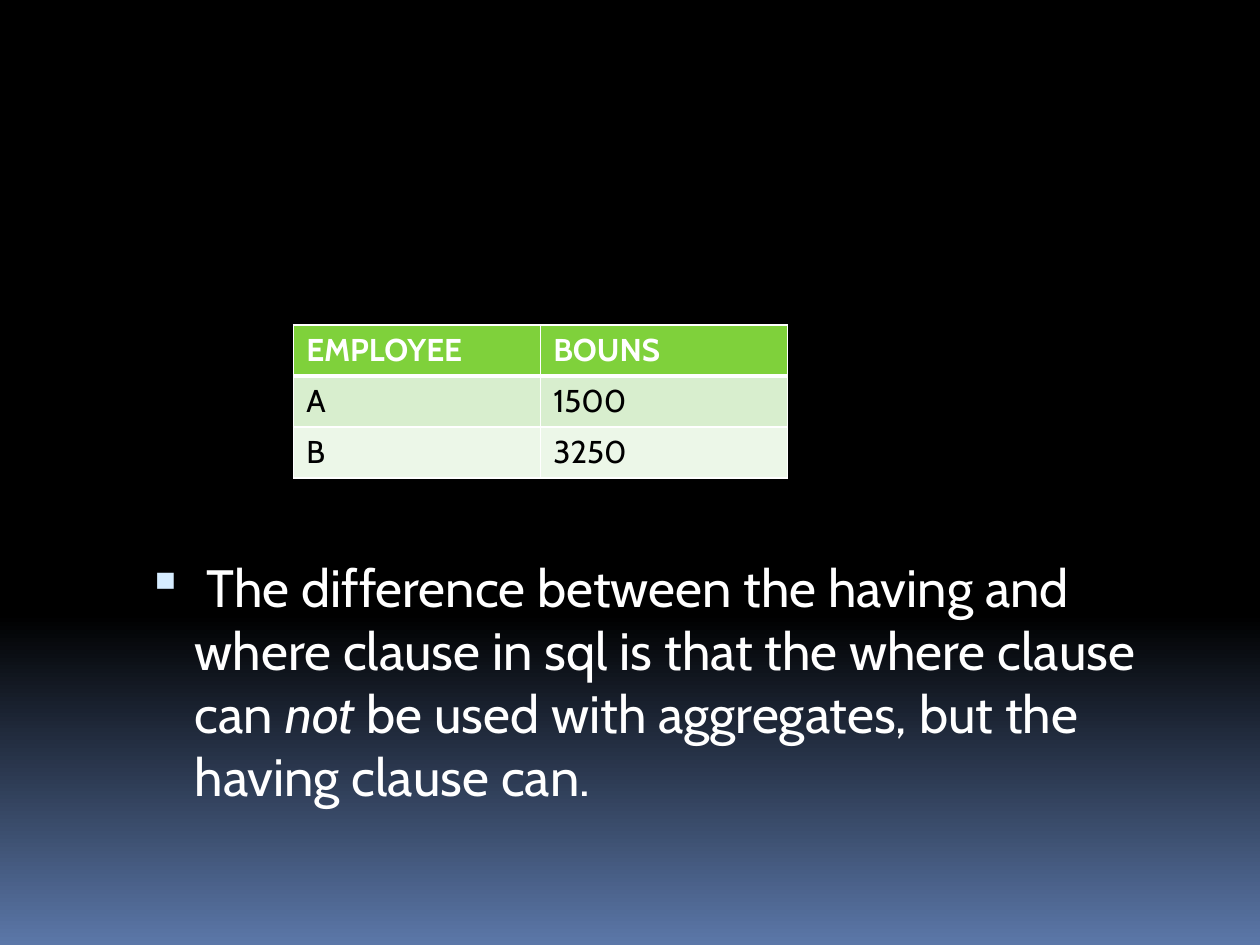
from dataclasses import dataclass

from lxml import etree
from pptx import Presentation
from pptx.dml.color import RGBColor
from pptx.oxml import ns
from pptx.util import Cm, Pt


@dataclass(frozen=True)
class Theme:
    font: str = "Cabin"
    body_size: int = 30
    table_size: int = 18
    white: str = "FFFFFF"
    black: str = "000000"
    blue: str = "5B77A8"
    bullet: str = "D6ECFF"
    row_fills: tuple = ("7FD13B", "D8EECE", "ECF7E8")


theme = Theme()


def add_run(paragraph, content, color, **formats):
    run = paragraph.add_run()
    run.text = content
    run.font.color.rgb = RGBColor.from_string(color)
    for name, value in {"name": theme.font, **formats}.items():
        setattr(run.font, name, value)


def add_border(cell, index, side, width):
    """Insert a white line on one side; lines must precede the cell's fill."""
    line = etree.Element(ns.qn(f"a:ln{side}"), w=str(Pt(width)))
    fill = etree.SubElement(line, ns.qn("a:solidFill"))
    etree.SubElement(fill, ns.qn("a:srgbClr"), val=theme.white)
    cell._tc.get_or_add_tcPr().insert(index, line)


presentation = Presentation()
presentation.slide_width, presentation.slide_height = Cm(25.4), Cm(19.05)
slide = presentation.slides.add_slide(presentation.slide_layouts[6])

# Background: black down to 65 %, then fading to blue
background = slide.background.fill
background.gradient()
background.gradient_angle = 270
stops = zip(background.gradient_stops, ((0.65, theme.black), (1, theme.blue)))
for stop, (position, color) in stops:
    stop.position = position
    stop.color.rgb = RGBColor.from_string(color)

# Explanation
text_box = slide.shapes.add_textbox(Cm(2.54), Cm(11.07), Cm(21.59), Cm(6.58))
text_box.text_frame.word_wrap = True
paragraph = text_box.text_frame.paragraphs[0]
properties = paragraph._p.get_or_add_pPr()
properties.set("marL", str(Cm(1.14)))
properties.set("indent", str(Cm(-0.97)))
bullet_color = etree.SubElement(properties, ns.qn("a:buClr"))
etree.SubElement(bullet_color, ns.qn("a:srgbClr"), val=theme.bullet)
etree.SubElement(properties, ns.qn("a:buSzPct"), val="95000")
etree.SubElement(properties, ns.qn("a:buChar"), char="▪")
for content, italic in (
    (" The difference between the having and where clause in sql is that the where clause can ", False),
    ("not", True),
    (" be used with aggregates, but the having clause can.", False),
):
    add_run(paragraph, content, theme.white, size=Pt(theme.body_size), italic=italic)

# Bonus table
rows = (("EMPLOYEE", "BOUNS"), ("A", "1500"), ("B", "3250"))
row_height, column_width = 1.03, 4.98
table = slide.shapes.add_table(
    len(rows), 2, Cm(5.92), Cm(6.55), Cm(2 * column_width), Cm(len(rows) * row_height)
).table
for row_index, values in enumerate(rows):
    header = row_index == 0
    for column_index, value in enumerate(values):
        cell = table.cell(row_index, column_index)
        cell.fill.solid()
        cell.fill.fore_color.rgb = RGBColor.from_string(theme.row_fills[row_index])
        add_run(
            cell.text_frame.paragraphs[0],
            value,
            theme.white if header else theme.black,
            size=Pt(theme.table_size),
            bold=header,
        )
        widths = {"L": 1, "R": 1, "T": 3 if row_index == 1 else 1, "B": 3 if header else 1}
        for index, (side, width) in enumerate(widths.items()):
            add_border(cell, index, side, width)

presentation.save("out.pptx")
